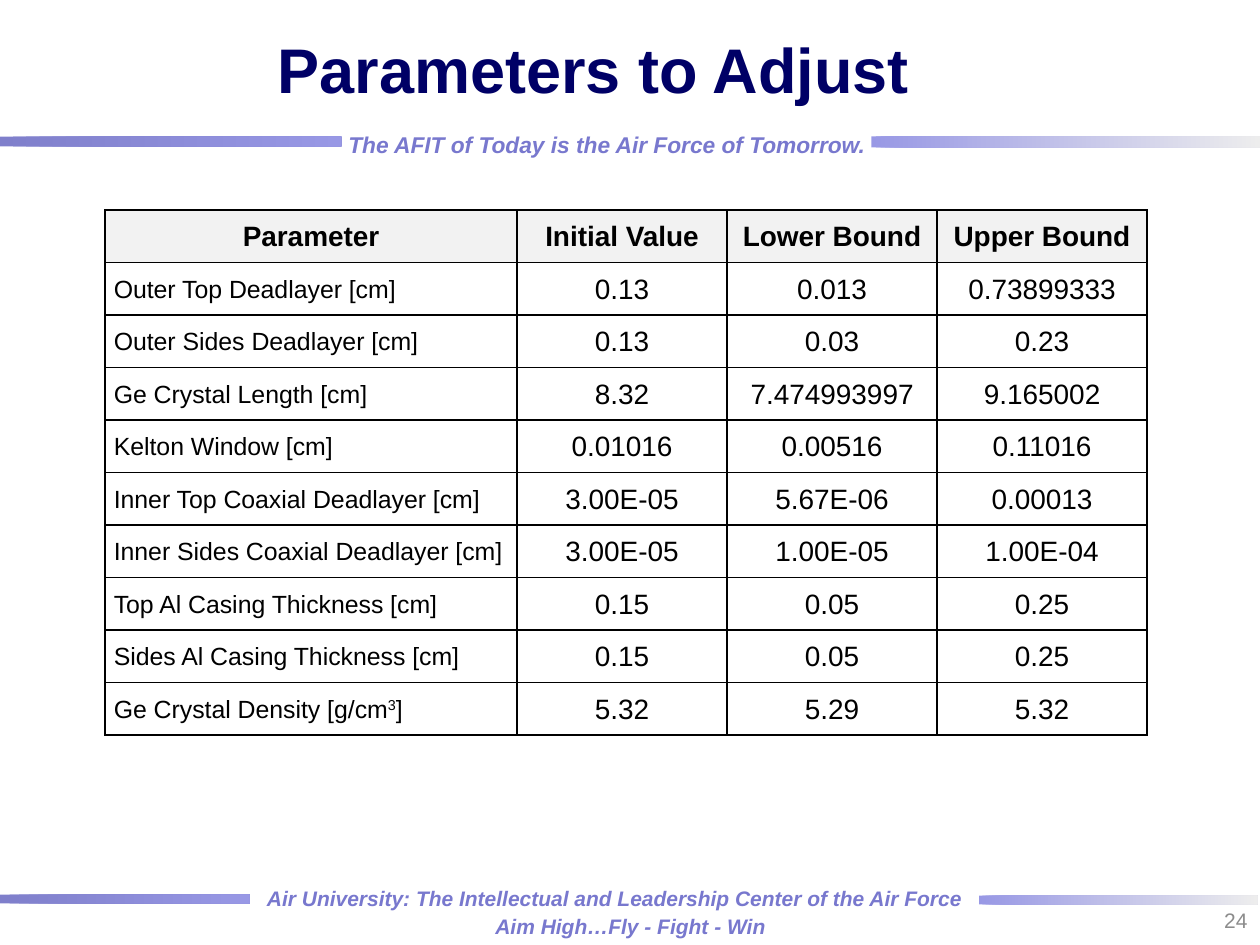
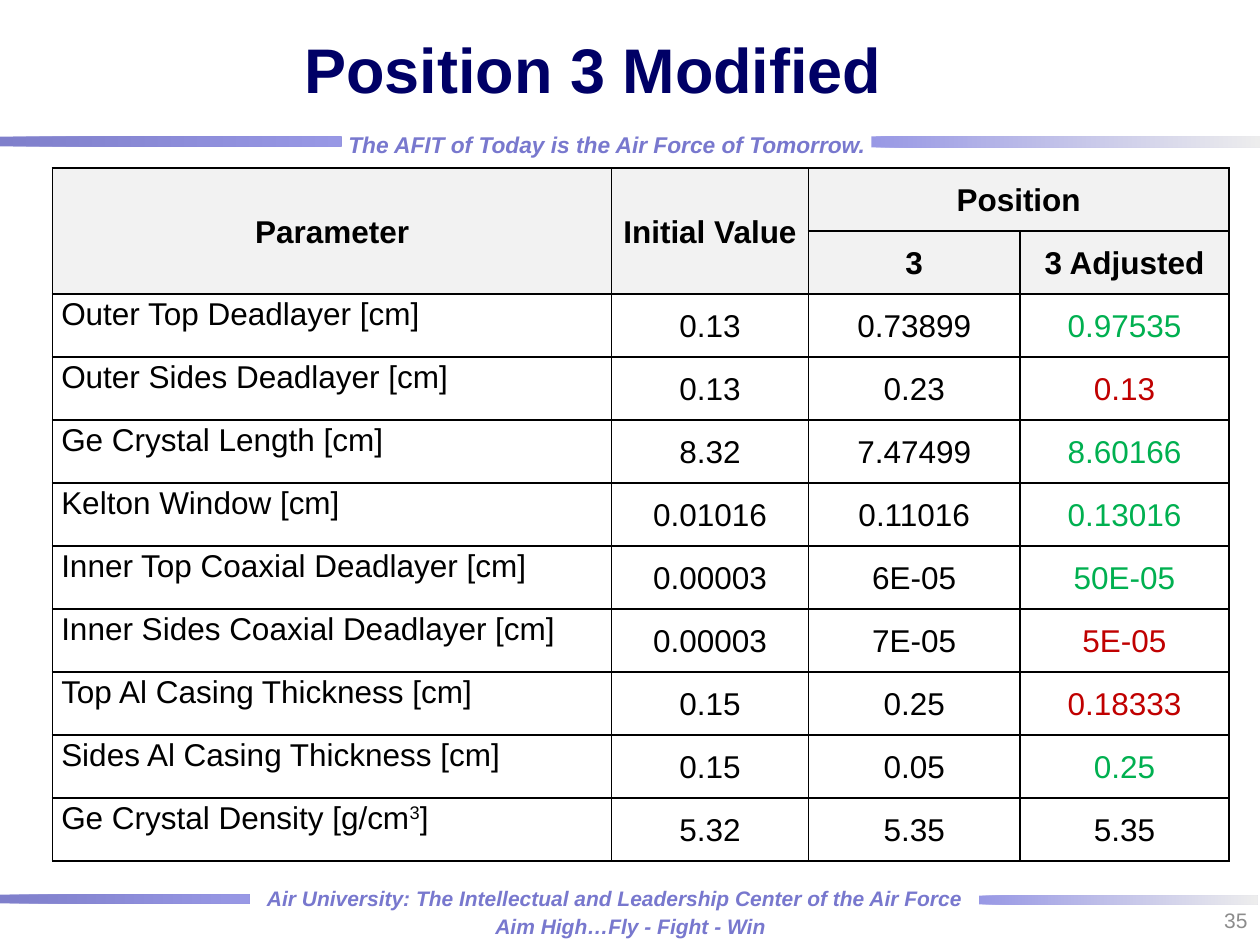
"""Build two slides that compare detector parameters in tables."""
from dataclasses import dataclass
from typing import Any, NamedTuple

from lxml import etree
from pptx import Presentation
from pptx.dml.color import RGBColor
from pptx.enum.shapes import MSO_SHAPE
from pptx.enum.text import MSO_ANCHOR, MSO_AUTO_SIZE, PP_ALIGN
from pptx.oxml.ns import qn
from pptx.util import Inches, Pt

RECT = MSO_SHAPE.RECTANGLE
TOP, MIDDLE = MSO_ANCHOR.TOP, MSO_ANCHOR.MIDDLE
LEFT, CENTER, RIGHT = PP_ALIGN.LEFT, PP_ALIGN.CENTER, PP_ALIGN.RIGHT
GROW, FIXED = MSO_AUTO_SIZE.SHAPE_TO_FIT_TEXT, MSO_AUTO_SIZE.NONE

WIDTH, HEIGHT = Inches(10), Inches(7.5)
COLS = 120
UNIT = WIDTH / COLS


@dataclass(frozen=True)
class Theme:
    """Hold the colours and type sizes of the deck."""
    font: str = "Arial"
    title: str = "000066"
    motto: str = "7878CE"
    number: str = "8C8C8C"
    ink: str = "000000"
    paper: str = "FFFFFF"
    header: str = "F2F2F2"
    green: str = "00B050"
    red: str = "C00000"
    navy: str = "000099"
    blue: str = "3333CC"
    silver: str = "DDDDDD"
    alpha: int = 50000
    title_size: float = 36
    motto_size: float = 13
    small_size: float = 12
    spacing: float = 1.07
    border: float = 1


THEME = Theme()


class Box(NamedTuple):
    """Place an element in grid columns and rows."""
    left: float
    top: float
    width: float
    height: float


class Style(NamedTuple):
    """Describe the look of one line of text."""
    size: float
    color: str
    bold: bool = False
    italic: bool = False
    align: Any = LEFT


class Band(NamedTuple):
    """Describe a fading bar."""
    box: Box
    start: str
    end: str


class Label(NamedTuple):
    """Describe a text box."""
    box: Box
    text: str
    style: Style
    wrap: bool = False
    anchor: Any = TOP
    inset: float = 0.05


class Span(NamedTuple):
    """Name the corner cells of a merged area."""
    top: int
    left: int
    bottom: int
    right: int


@dataclass(frozen=True)
class Sheet:
    """Describe a slide with a title and a table."""
    title: str
    number: str
    left: float
    top: float
    widths: tuple[float, ...]
    row: float
    heads: tuple[tuple[str, ...], ...]
    values: tuple[tuple[str, ...], ...]
    size: float
    name_size: float
    name_anchor: Any = MIDDLE
    spans: tuple[Span, ...] = ()
    tints: str = ""


NAMES = (
    "Outer Top Deadlayer [cm]", "Outer Sides Deadlayer [cm]",
    "Ge Crystal Length [cm]", "Kelton Window [cm]",
    "Inner Top Coaxial Deadlayer [cm]", "Inner Sides Coaxial Deadlayer [cm]",
    "Top Al Casing Thickness [cm]", "Sides Al Casing Thickness [cm]",
    "Ge Crystal Density [g/cm^3^]",
)
TINTS = {"g": THEME.green, "r": THEME.red, "-": THEME.ink}

BANDS = (
    Band(Box(0, 85.2, 23.75, 0.85), THEME.navy, THEME.blue),
    Band(Box(93.25, 85.3, 26.5, 0.85), THEME.blue, THEME.silver),
    Band(Box(83, 13, 37, 1.05), THEME.blue, THEME.silver),
    Band(Box(0, 13, 32.5, 0.95), THEME.navy, THEME.blue),
)
MOTTO = Style(THEME.motto_size, THEME.motto, True, True)
SMALL = MOTTO._replace(size=THEME.small_size)
MOTTOS = (
    Label(Box(24.25, 83.75, 69.1, 3.5),
          "Air University: The Intellectual and Leadership Center of the Air Force", SMALL),
    Label(Box(46, 86.5, 28.3, 3.5), "Aim High…Fly - Fight - Win", SMALL, inset=0.04),
    Label(Box(32, 11.9, 52.2, 3.7), "The AFIT of Today is the Air Force of Tomorrow.", MOTTO),
)
TITLE = Label(Box(13, 0, 87, 13), "",
              Style(THEME.title_size, THEME.title, True, align=CENTER), True, MIDDLE)
NUMBER = Label(Box(92, 85.2, 28, 4.8), "",
               Style(THEME.small_size, THEME.number, align=RIGHT), True, MIDDLE)

SHEETS = (
    Sheet(
        "Parameters to Adjust", "24", 10, 20, (39.25, 20, 20, 20), 5,
        (("Parameter", "Initial Value", "Lower Bound", "Upper Bound"),),
        (("0.13", "0.013", "0.73899333"), ("0.13", "0.03", "0.23"),
         ("8.32", "7.474993997", "9.165002"), ("0.01016", "0.00516", "0.11016"),
         ("3.00E-05", "5.67E-06", "0.00013"), ("3.00E-05", "1.00E-05", "1.00E-04"),
         ("0.15", "0.05", "0.25"), ("0.15", "0.05", "0.25"), ("5.32", "5.29", "5.32")),
        size=16, name_size=14.2,
    ),
    Sheet(
        "Position 3 Modified", "35", 5, 16, (53.25, 18.75, 20.15, 19.9), 6,
        (("Parameter", "Initial Value", "Position", ""), ("", "", "3", "3 Adjusted")),
        (("0.13", "0.73899", "0.97535"), ("0.13", "0.23", "0.13"),
         ("8.32", "7.47499", "8.60166"), ("0.01016", "0.11016", "0.13016"),
         ("0.00003", "6E-05", "50E-05"), ("0.00003", "7E-05", "5E-05"),
         ("0.15", "0.25", "0.18333"), ("0.15", "0.05", "0.25"), ("5.32", "5.35", "5.35")),
        size=18, name_size=18, name_anchor=TOP,
        spans=(Span(0, 0, 1, 0), Span(0, 1, 1, 1), Span(0, 2, 0, 3)),
        tints="grgggrrg-",
    ),
)


def apply(target: Any, values: dict[str, Any]) -> None:
    """Set each named attribute of the target."""
    for name, value in values.items():
        setattr(target, name, value)


def span(units: float) -> int:
    """Turn grid units into a length."""
    return round(units * UNIT)


def write(frame: Any, text: str, style: Style, spacing: float = 1) -> None:
    """Write one line, raising what stands between carets."""
    line = frame.paragraphs[0]
    apply(line, {"alignment": style.align, "line_spacing": spacing})
    for index, part in enumerate(text.split("^")):
        run = line.add_run()
        run.text = part
        apply(run.font, {"name": THEME.font, "size": Pt(style.size),
                         "bold": style.bold, "italic": style.italic})
        run.font.color.rgb = RGBColor.from_string(style.color)
        if index % 2:
            run.font._element.set("baseline", "30000")


def draw_band(slide: Any, band: Band) -> None:
    """Draw a half clear bar that fades from left to right."""
    shape = slide.shapes.add_shape(RECT, *map(span, band.box))
    shape.shadow.inherit = False
    shape.line.fill.background()
    shape.fill.gradient()
    shape.fill.gradient_angle = 0
    for stop, color in zip(shape.fill.gradient_stops, (band.start, band.end)):
        stop.color.rgb = RGBColor.from_string(color)
    props = shape._element.spPr
    props.find(qn("a:xfrm")).set("flipV", "1")
    for color in list(props.iter(qn("a:srgbClr"))):
        etree.SubElement(color, qn("a:alpha"), val=str(THEME.alpha))


def draw_label(slide: Any, label: Label) -> None:
    """Draw a text box."""
    frame = slide.shapes.add_textbox(*map(span, label.box)).text_frame
    apply(frame, {"word_wrap": label.wrap, "vertical_anchor": label.anchor,
                  "auto_size": FIXED if label.wrap else GROW,
                  "margin_top": Inches(label.inset), "margin_bottom": Inches(label.inset)})
    write(frame, label.text, label.style)


def edge(cell: Any) -> None:
    """Rule all four sides of a cell."""
    props = cell._tc.get_or_add_tcPr()
    for side in ("a:lnL", "a:lnR", "a:lnT", "a:lnB"):
        line = etree.SubElement(props, qn(side), w=str(Pt(THEME.border)))
        fill = etree.SubElement(line, qn("a:solidFill"))
        etree.SubElement(fill, qn("a:srgbClr"), val=THEME.ink)


def draw_cell(cell: Any, text: str, style: Style, anchor: Any, fill: str) -> None:
    """Format and fill one cell."""
    edge(cell)
    cell.fill.solid()
    cell.fill.fore_color.rgb = RGBColor.from_string(fill)
    apply(cell, {"margin_left": Inches(0.07), "margin_right": Inches(0.07),
                 "margin_top": 0, "margin_bottom": 0, "vertical_anchor": anchor})
    if text:
        write(cell.text_frame, text, style, THEME.spacing)


def draw_table(slide: Any, sheet: Sheet) -> None:
    """Draw the table of a sheet."""
    body = tuple((name, *row) for name, row in zip(NAMES, sheet.values))
    rows = sheet.heads + body
    box = Box(sheet.left, sheet.top, sum(sheet.widths), sheet.row * len(rows))
    table = slide.shapes.add_table(len(rows), len(sheet.widths), *map(span, box)).table
    apply(table, {"first_row": False, "horz_banding": False})
    for column, width in zip(table.columns, sheet.widths):
        column.width = span(width)
    for line in table.rows:
        line.height = span(sheet.row)
    head = Style(sheet.size, THEME.ink, True, align=CENTER)
    value = head._replace(bold=False)
    name = Style(sheet.name_size, THEME.ink)
    last = len(sheet.widths) - 1
    for r, row in enumerate(rows):
        item = r - len(sheet.heads)
        for c, text in enumerate(row):
            style, anchor, fill = value, MIDDLE, THEME.paper
            if item < 0:
                style, fill = head, THEME.header
            elif c == 0:
                style, anchor = name, sheet.name_anchor
            elif c == last and sheet.tints:
                style = value._replace(color=TINTS[sheet.tints[item]])
            draw_cell(table.cell(r, c), text, style, anchor, fill)
    for area in sheet.spans:
        table.cell(area.top, area.left).merge(table.cell(area.bottom, area.right))


def draw_sheet(deck: Any, sheet: Sheet) -> None:
    """Add one slide with the shared frame and its table."""
    slide = deck.slides.add_slide(deck.slide_layouts[6])
    for band in BANDS:
        draw_band(slide, band)
    titles = (TITLE._replace(text=sheet.title), NUMBER._replace(text=sheet.number))
    for label in MOTTOS + titles:
        draw_label(slide, label)
    draw_table(slide, sheet)


def main() -> None:
    """Build and save the deck."""
    deck = Presentation()
    apply(deck, {"slide_width": WIDTH, "slide_height": HEIGHT})
    for sheet in SHEETS:
        draw_sheet(deck, sheet)
    deck.save("out.pptx")


if __name__ == "__main__":
    main()
